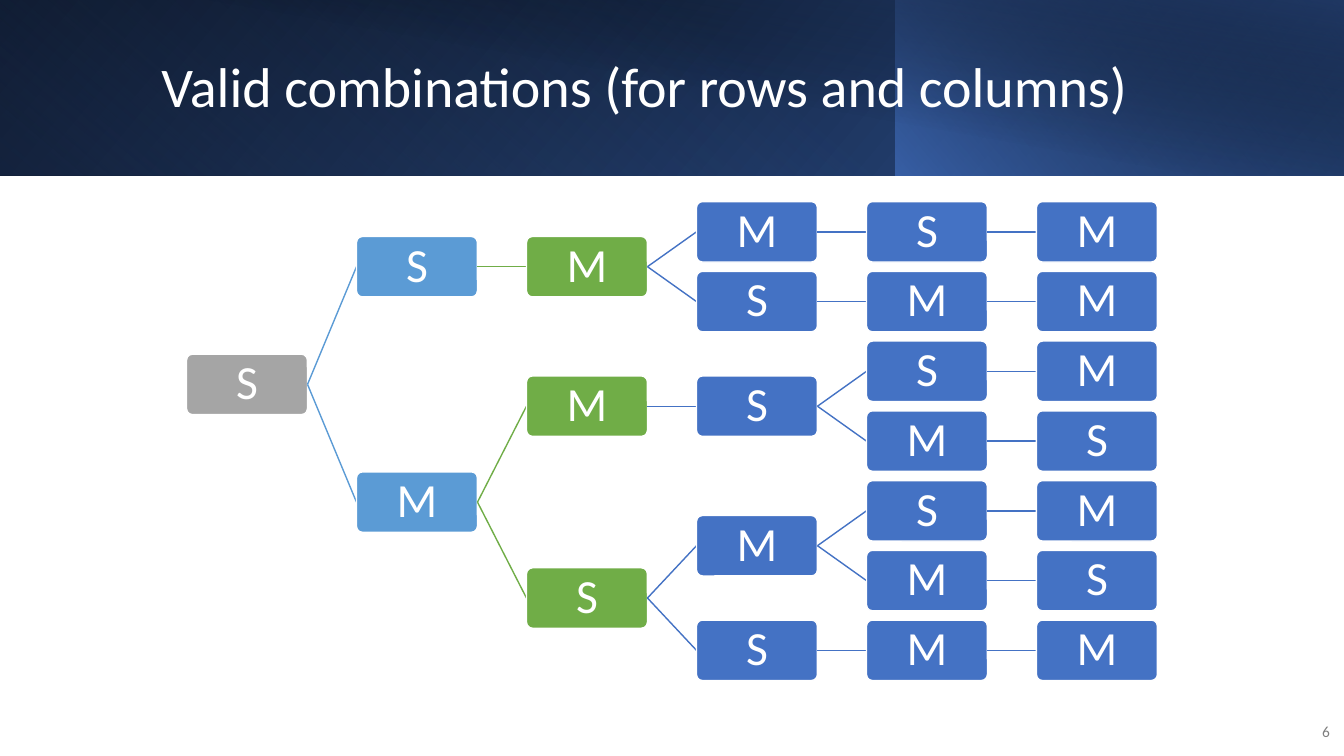
"""Build a slide with a tree of valid S/M combinations."""
from dataclasses import dataclass

from lxml import etree
from pptx import Presentation
from pptx import util as u
from pptx.dml.color import RGBColor
from pptx.enum import shapes, text
from pptx.oxml import ns

TITLE = "Valid combinations (for rows and columns)"
PAGE = "6"
TREE = ("S", [
    ("S", [("M", [("M", [("S", [("M", [])])]),
                  ("S", [("M", [("M", [])])])])]),
    ("M", [("M", [("S", [("S", [("M", [])]),
                         ("M", [("S", [])])])]),
           ("S", [("M", [("S", [("M", [])]),
                         ("M", [("S", [])])]),
                  ("S", [("M", [("M", [])])])])]),
])


@dataclass(frozen=True)
class Theme:
    font: str = "Calibri"
    white: str = "FFFFFF"
    muted: str = "808080"
    levels: tuple = ("A5A5A5", "5B9BD5", "70AD47", "4472C4", "4472C4", "4472C4")
    title_size: int = 40
    node_size: int = 34
    page_size: int = 11
    line: int = 1


THEME = Theme()
WIDTH, HEIGHT = 13.33, 7.5
BANNER = 1.74
BANNER_LAYERS = [
    ((0, WIDTH), 0, True, 140, [(0, "000000", 100), (100, "2F5597", 100)]),
    ((0, WIDTH * 2 / 3), 180, True, 230, [(20, "4472C4", 0), (100, "203864", 55)]),
    ((WIDTH * 2 / 3, WIDTH / 3), 0, True, 220, [(0, "4472C4", 66), (100, "000000", 30)]),
    ((0.5, WIDTH - 0.5), 0, False, 280, [(50, "000000", 0), (99, "203864", 52)]),
]
GRID_LEFT, GRID_TOP = 1.85, 2.3
COLUMN, ROW = 1.686, 0.692
NODE_W, NODE_H = 1.2, 0.6


def inches(*lengths):
    return [u.Inches(length) for length in lengths]


def apply(target, values):
    for name, value in values.items():
        setattr(target, name, value)


def write(frame, words, size, color, align, margin=None, spacing=None):
    frame.text = words
    apply(frame, {"word_wrap": True, "vertical_anchor": text.MSO_ANCHOR.MIDDLE,
                  "auto_size": text.MSO_AUTO_SIZE.NONE})
    if margin is not None:
        sides = ("left", "right", "top", "bottom")
        apply(frame, {f"margin_{side}": u.Inches(margin) for side in sides})
    paragraph = frame.paragraphs[0]
    apply(paragraph, {"alignment": align, "line_spacing": spacing})
    font = paragraph.runs[0].font
    apply(font, {"name": THEME.font, "size": u.Pt(size), "bold": False})
    font.color.rgb = RGBColor.from_string(color)


def add_banner_layer(slide, span, turn, flipped, angle, stops):
    left, width = span
    layer = slide.shapes.add_shape(
        shapes.MSO_SHAPE.RECTANGLE, *inches(left, 0, width, BANNER))
    layer.shadow.inherit = False
    layer.rotation = turn
    if flipped:
        layer._element.spPr.xfrm.set("flipH", "1")
    layer.line.fill.background()
    layer.fill.gradient()
    layer.fill.gradient_angle = 360 - angle
    for stop, (position, color, opacity) in zip(layer.fill.gradient_stops, stops):
        stop.position = position / 100
        stop.color.rgb = RGBColor.from_string(color)
        tint = stop._gs.find(ns.qn("a:srgbClr"))
        etree.SubElement(tint, ns.qn("a:alpha")).set("val", str(opacity * 1000))


def place(node, level, rows):
    """Return a node with its row, halfway between its first and last child."""
    letter, branches = node
    children = [place(branch, level + 1, rows) for branch in branches]
    row = (children[0][2] + children[-1][2]) / 2 if children else next(rows)
    return letter, level, row, children


def centre(row):
    return GRID_TOP + row * ROW


def add_branch(slide, parent_row, row, level):
    end = GRID_LEFT + level * COLUMN
    start = end - COLUMN + NODE_W
    branch = slide.shapes.add_connector(
        shapes.MSO_CONNECTOR.STRAIGHT,
        *inches(start, centre(parent_row), end, centre(row)))
    branch.line.color.rgb = RGBColor.from_string(THEME.levels[level])
    branch.line.width = u.Pt(THEME.line)
    etree.SubElement(branch._element.spPr, ns.qn("a:effectLst"))


def draw(slide, node):
    letter, level, row, children = node
    box = slide.shapes.add_shape(
        shapes.MSO_SHAPE.ROUNDED_RECTANGLE,
        *inches(GRID_LEFT + level * COLUMN, centre(row) - NODE_H / 2, NODE_W, NODE_H))
    box.shadow.inherit = False
    box.adjustments[0] = 0.1
    box.fill.solid()
    box.fill.fore_color.rgb = RGBColor.from_string(THEME.levels[level])
    box.line.color.rgb = RGBColor.from_string(THEME.white)
    box.line.width = u.Pt(THEME.line)
    write(box.text_frame, letter, THEME.node_size, THEME.white,
          text.PP_ALIGN.CENTER, margin=0.02, spacing=0.9)
    for child in children:
        add_branch(slide, row, child[2], level + 1)
        draw(slide, child)


def main():
    deck = Presentation()
    deck.slide_width, deck.slide_height = inches(WIDTH, HEIGHT)
    slide = deck.slides.add_slide(deck.slide_layouts[5])
    for layer in BANNER_LAYERS:
        add_banner_layer(slide, *layer)

    title = slide.shapes.title
    slide.shapes._spTree.append(title._element)
    apply(title, dict(zip(("left", "top", "width", "height"),
                          inches(1.5, 0.32, 10.82, 1.13))))
    write(title.text_frame, TITLE, THEME.title_size, THEME.white,
          text.PP_ALIGN.LEFT, spacing=0.9)

    draw(slide, place(TREE, 0, iter(range(7))))

    page = slide.shapes.add_textbox(*inches(12.8, 7.06, 0.49, 0.4))
    write(page.text_frame, PAGE, THEME.page_size, THEME.muted, text.PP_ALIGN.RIGHT)
    deck.save("out.pptx")


if __name__ == "__main__":
    main()
